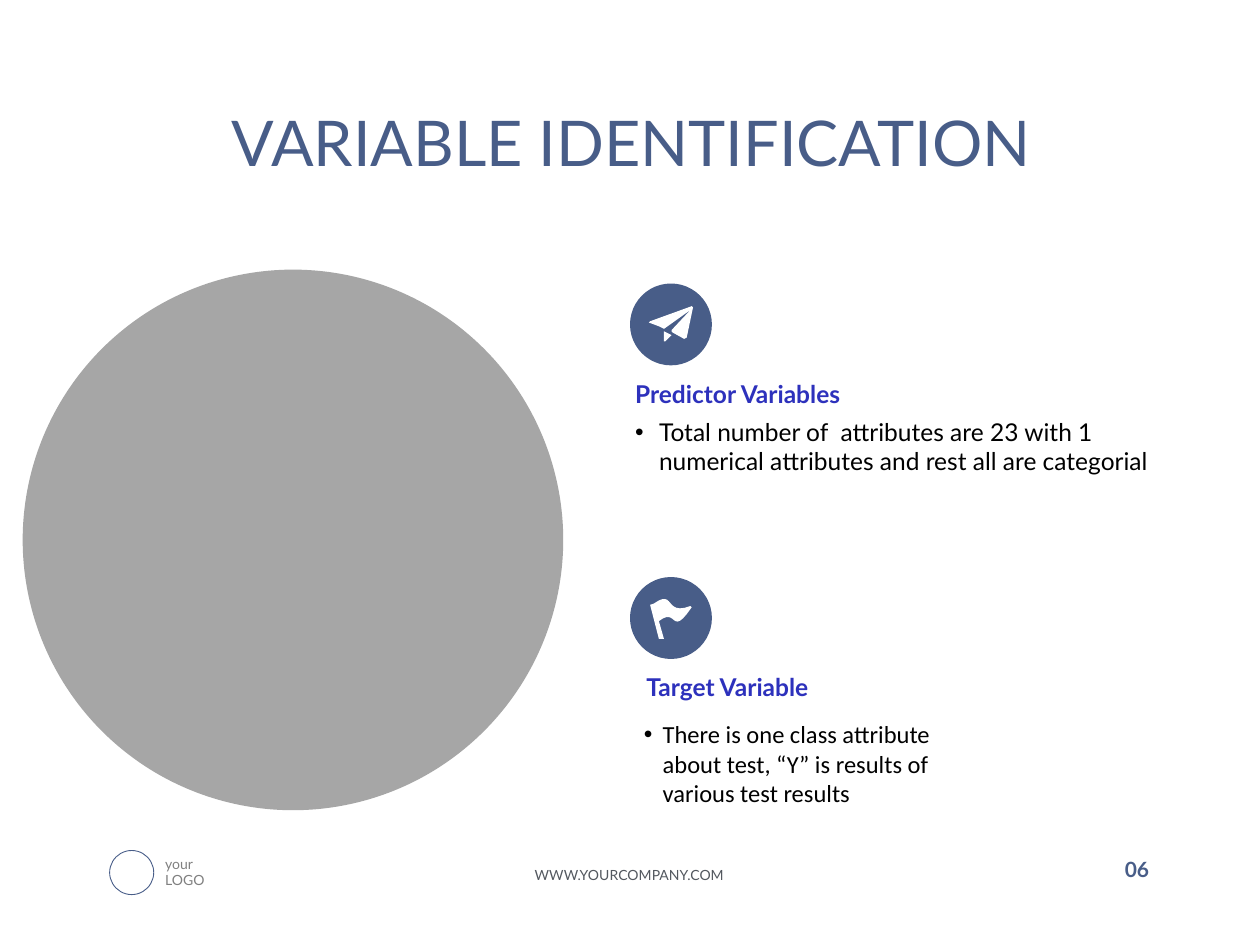
from lxml import etree
from pptx import Presentation
from pptx.dml.color import RGBColor
from pptx.enum.shapes import MSO_SHAPE
from pptx.enum.text import MSO_ANCHOR, PP_ALIGN
from pptx.oxml.ns import qn
from pptx.util import Inches, Pt

OVAL = MSO_SHAPE.OVAL
MIDDLE = MSO_ANCHOR.MIDDLE
TOP = MSO_ANCHOR.TOP
LEFT, CENTER, RIGHT = PP_ALIGN.LEFT, PP_ALIGN.CENTER, PP_ALIGN.RIGHT

NAVY = RGBColor(0x48, 0x5D, 0x88)
BLUE = RGBColor(0x2D, 0x31, 0xBC)
BLACK = RGBColor(0, 0, 0)
WHITE = RGBColor(255, 255, 255)
GRAY = RGBColor(0xA6, 0xA6, 0xA6)
LOGO_GRAY = RGBColor(0x80, 0x80, 0x80)
FOOTER_GRAY = RGBColor(0x53, 0x58, 0x5F)

DISC_SIZE = 0.65


def curve(start, control_one, control_two, end, steps=12):
    points = []
    for step in range(1, steps + 1):
        t = step / steps
        weights = ((1 - t) ** 3, 3 * t * (1 - t) ** 2, 3 * t * t * (1 - t), t ** 3)
        corners = (start, control_one, control_two, end)
        points.append(tuple(
            sum(weight * corner[axis] for weight, corner in zip(weights, corners))
            for axis in (0, 1)
        ))
    return points


PLANE = [
    [(0.27, 0.46), (0.28, 0.46), (0.33, 0.41), (0.27, 0.38)],
    [(0.49, 0.18), (0.16, 0.3), (0.15, 0.31), (0.23, 0.34), (0.27, 0.36),
     (0.48, 0.21), (0.33, 0.37), (0.33, 0.38), (0.34, 0.39), (0.43, 0.44),
     (0.45, 0.43), (0.5, 0.19)],
]
FLAG = [
    [(0.48, 0.23)]
    + curve((0.48, 0.23), (0.27, 0.31), (0.36, 0.09), (0.19, 0.21))
    + [(0.16, 0.22), (0.23, 0.49), (0.27, 0.49), (0.23, 0.35)]
    + curve((0.23, 0.35), (0.38, 0.23), (0.32, 0.49), (0.49, 0.24)),
]


def add_text(slide, box, text, size, color, font="Lato", bold=False,
             align=LEFT, anchor=TOP, inset=0, hanging=0, spacing=None):
    shape = slide.shapes.add_textbox(*map(Inches, box))
    frame = shape.text_frame
    frame.word_wrap = True
    frame.vertical_anchor = anchor
    frame.margin_left = frame.margin_right = Inches(inset)
    frame.margin_top = frame.margin_bottom = Inches(inset)
    paragraph = frame.paragraphs[0]
    paragraph.alignment = align
    if spacing:
        paragraph.line_spacing = spacing
    run = paragraph.add_run()
    run.text = text
    run.font.name = font
    run.font.size = Pt(size)
    run.font.bold = bold
    run.font.color.rgb = color
    if hanging:
        properties = paragraph._p.get_or_add_pPr()
        properties.set("marL", str(Inches(hanging)))
        properties.set("indent", str(-Inches(hanging)))
        etree.SubElement(properties, qn("a:buFont")).set("typeface", "Arial")
        etree.SubElement(properties, qn("a:buChar")).set("char", "•")


def add_disc(slide, left, top, size, fill=None, line=None):
    disc = slide.shapes.add_shape(OVAL, *map(Inches, (left, top, size, size)))
    disc.shadow.inherit = False
    if fill is None:
        disc.fill.background()
    else:
        disc.fill.solid()
        disc.fill.fore_color.rgb = fill
    if line is None:
        disc.line.fill.background()
    else:
        disc.line.color.rgb = line
        disc.line.width = Pt(0.5)


def add_icon(slide, left, top, contours):
    add_disc(slide, left, top, DISC_SIZE, fill=NAVY)
    outlines = [[(Inches(x), Inches(y)) for x, y in contour] for contour in contours]
    builder = slide.shapes.build_freeform(*outlines[0][0])
    builder.add_line_segments(outlines[0][1:])
    for outline in outlines[1:]:
        builder.move_to(*outline[0])
        builder.add_line_segments(outline[1:])
    symbol = builder.convert_to_shape(Inches(left), Inches(top))
    symbol.shadow.inherit = False
    symbol.fill.solid()
    symbol.fill.fore_color.rgb = WHITE
    symbol.line.fill.background()


def add_predictor_section(slide, left, top):
    add_icon(slide, left, top, PLANE)
    add_text(slide, (left + 0.04, top + 0.76, 2.19, 0.24),
             "Predictor Variables", 14, BLUE, bold=True)
    add_text(slide, (left + 0.04, top + 1.06, 4.08, 0.71),
             "Total number of  attributes are 23 with 1 numerical attributes "
             "and rest all are categorial", 14, BLACK, hanging=0.19)


def add_target_section(slide, left, top):
    add_icon(slide, left, top, FLAG)
    add_text(slide, (left + 0.13, top + 0.75, 2.1, 0.24),
             "Target Variable", 14, BLUE, bold=True)
    add_text(slide, (left + 0.06, top + 1.08, 2.54, 0.81),
             "There is one class attribute about test, “Y” is results of "
             "various test results", 14, BLACK, font="Calibri",
             inset=0.05, hanging=0.15)


def add_footer(slide, left, top):
    add_disc(slide, left, top, 0.35, line=NAVY)
    for index, word in enumerate(("your", "LOGO")):
        add_text(slide, (left + 0.44, top + 0.04 + index * 0.13, 0.42, 0.14),
                 word, 8, LOGO_GRAY)
    add_text(slide, (left + 3.25, top + 0.13, 1.75, 0.14),
             "WWW.YOURCOMPANY.COM", 8, FOOTER_GRAY, align=CENTER)
    add_text(slide, (left + 7.41, top, 0.84, 0.32), "06", 12, NAVY,
             bold=True, align=RIGHT, anchor=MIDDLE, spacing=0.9)


def main():
    presentation = Presentation()
    presentation.slide_width = Inches(10)
    presentation.slide_height = Inches(7.5)
    slide = presentation.slides.add_slide(presentation.slide_layouts[6])
    add_footer(slide, 0.87, 6.75)
    add_text(slide, (0.77, 0.75, 8.48, 0.82), "VARIABLE IDENTIFICATION", 36,
             NAVY, align=CENTER, anchor=MIDDLE, spacing=0.9)
    add_disc(slide, 0.18, 2.14, 4.29, fill=GRAY)
    add_predictor_section(slide, 5, 2.25)
    add_target_section(slide, 5, 4.58)
    presentation.save("out.pptx")


if __name__ == "__main__":
    main()
